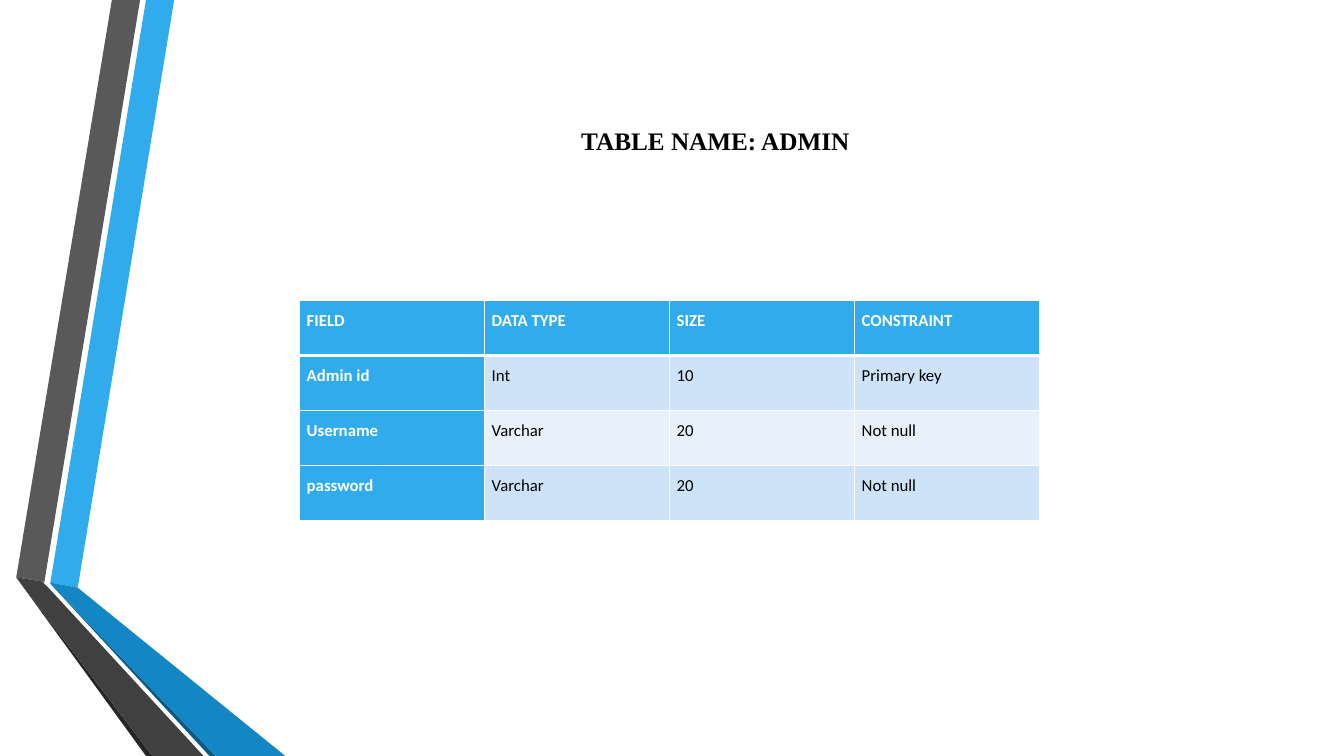
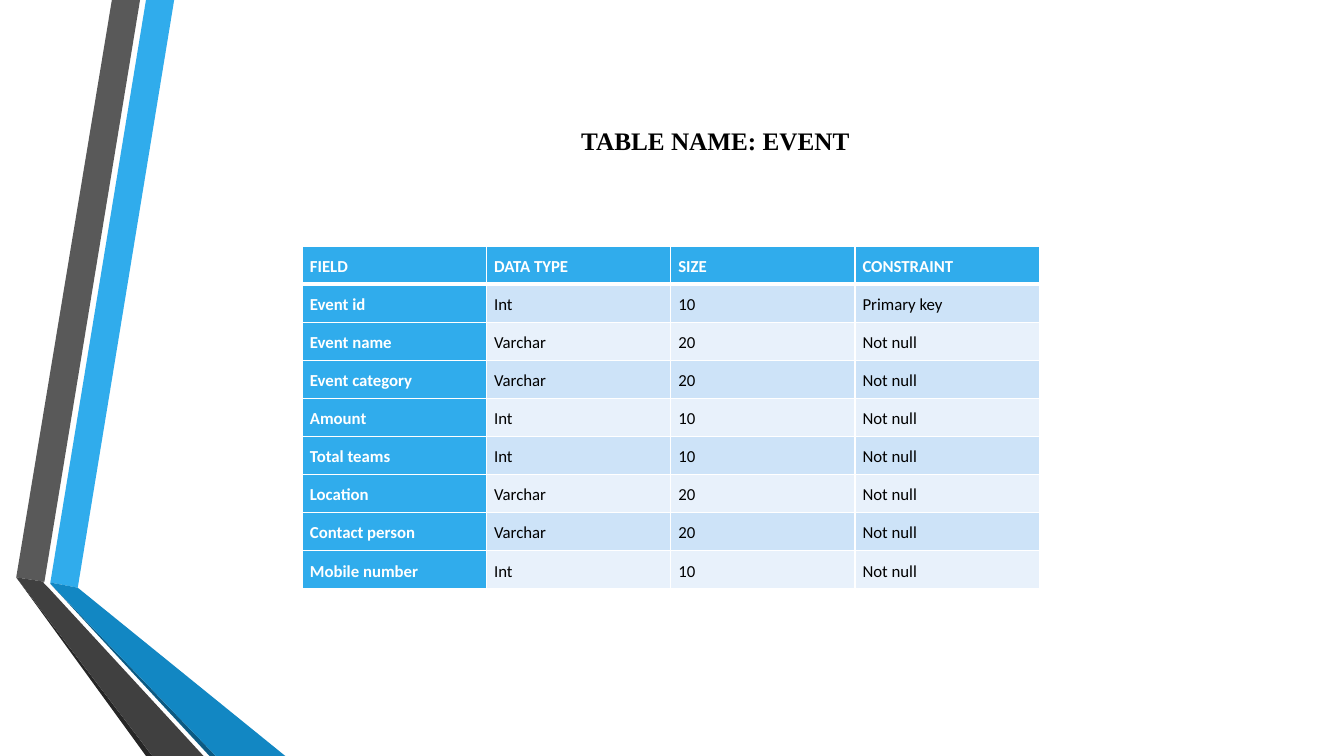
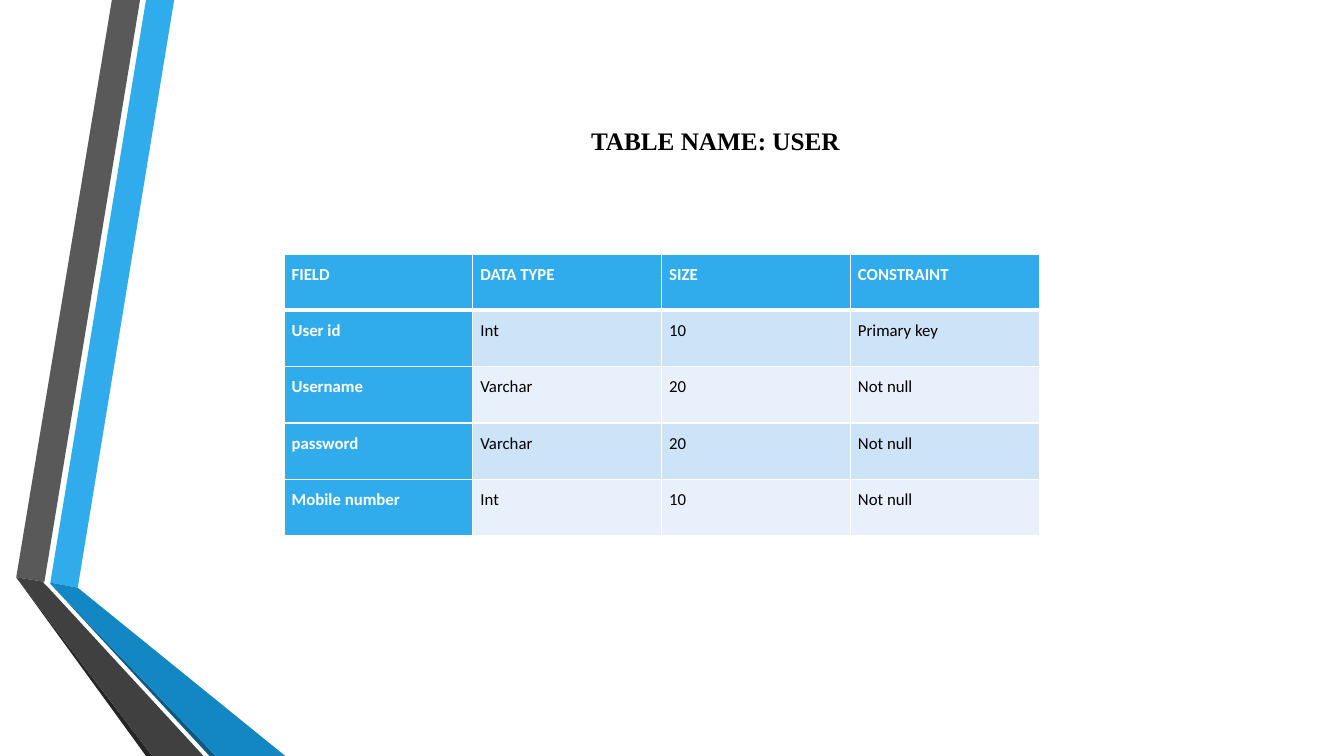
from pptx import Presentation
from pptx.dml.color import RGBColor
from pptx.enum.text import MSO_ANCHOR, PP_ALIGN
from pptx.oxml.ns import qn
from pptx.util import Cm, Pt
from lxml.etree import SubElement

# Colours
WHITE = RGBColor(0xFF, 0xFF, 0xFF)
BLACK = RGBColor(0x00, 0x00, 0x00)
BLUE = RGBColor(0x30, 0xAC, 0xEC)
DEEP = RGBColor(0x12, 0x87, 0xC3)
NAVY = RGBColor(0x0C, 0x5A, 0x82)
GRAY = RGBColor(0x59, 0x59, 0x59)
DARK = RGBColor(0x40, 0x40, 0x40)
COAL = RGBColor(0x26, 0x26, 0x26)
PALE = RGBColor(0xCD, 0xE3, 0xF8)
LIGHT = RGBColor(0xE8, 0xF1, 0xFB)

# Slide size, and the right edge that all tables share, in cm
WIDE, HIGH = 33.87, 19.05
RIGHT = 26.19

# Folded bands on the left, corner points in cm
BANDS = [
    (BLUE, [(1.27, 14.68), (1.96, 14.81), (4.39, 0), (3.68, 0)]),
    (GRAY, [(3.53, 0), (2.82, 0), (0.41, 14.55), (1.12, 14.66)]),
    (COAL, [(0.41, 14.55), (3.68, HIGH), (3.84, HIGH)]),
    (NAVY, [(1.27, 14.71), (5.28, HIGH), (5.44, HIGH)]),
    (DEEP, [(1.27, 14.71), (5.44, HIGH), (7.19, HIGH), (1.96, 14.81),
            (1.27, 14.68)]),
    (DARK, [(5.13, HIGH), (1.22, 14.81), (1.09, 14.68), (1.12, 14.66),
            (0.41, 14.55), (3.84, HIGH)]),
]

# Table contents
HEAD = ("FIELD", "DATA TYPE", "SIZE", "CONSTRAINT")
KEY, NEED = "Primary key", "Not null"
ADMIN = [
    ("Admin id", "Int", "10", KEY),
    ("Username", "Varchar", "20", NEED),
    ("password", "Varchar", "20", NEED),
]
EVENT = [
    ("Event id", "Int", "10", KEY),
    ("Event name", "Varchar", "20", NEED),
    ("Event category", "Varchar", "20", NEED),
    ("Amount", "Int", "10", NEED),
    ("Total teams", "Int", "10", NEED),
    ("Location", "Varchar", "20", NEED),
    ("Contact person", "Varchar", "20", NEED),
    ("Mobile number", "Int", "10", NEED),
]
USER = [
    ("User id", "Int", "10", KEY),
    ("Username", "Varchar", "20", NEED),
    ("password", "Varchar", "20", NEED),
    ("Mobile number", "Int", "10", NEED),
]


def put_text(frame, text, size=12, face="Calibri", color=BLACK, bold=False,
             align=PP_ALIGN.LEFT, space=1.0):
    para = frame.paragraphs[0]
    para.alignment = align
    para.line_spacing = space
    run = para.add_run()
    run.text = text
    font = run.font
    font.size, font.name, font.bold = Pt(size), face, bold
    font.color.rgb = color


def add_band(slide, color, points):
    first, *rest = [(Cm(x), Cm(y)) for x, y in points]
    pen = slide.shapes.build_freeform(*first)
    pen.add_line_segments(rest, close=True)
    band = pen.convert_to_shape()
    band.shadow.inherit = False
    band.fill.solid()
    band.fill.fore_color.rgb = color
    band.line.fill.background()


def add_title(slide, text):
    box = slide.shapes.add_textbox(Cm(4.11), Cm(1.9), Cm(27.84), Cm(4.88))
    frame = box.text_frame
    frame.word_wrap = True
    frame.vertical_anchor = MSO_ANCHOR.MIDDLE
    # The deep lower inset lifts the title above the middle of its box
    frame.margin_bottom = Cm(1.75)
    put_text(frame, text, size=18, face="Times New Roman", bold=True,
             align=PP_ALIGN.CENTER)


def add_edges(cell, top, bottom):
    props = cell._tc.get_or_add_tcPr()
    for tag, width in (("L", 1), ("R", 1), ("T", top), ("B", bottom)):
        edge = SubElement(props, qn("a:ln" + tag), w=str(Pt(width)))
        fill = SubElement(edge, qn("a:solidFill"))
        SubElement(fill, qn("a:srgbClr"), val=str(WHITE))


def fill_cell(cell, text, row, col):
    head = row == 0 or col == 0
    # A thick rule parts the header from the rows below
    add_edges(cell, top=3 if row == 1 else 1, bottom=3 if row == 0 else 1)
    cell.fill.solid()
    cell.fill.fore_color.rgb = BLUE if head else PALE if row % 2 else LIGHT
    cell.margin_left = cell.margin_right = Cm(0.19)
    cell.margin_top = cell.margin_bottom = 0
    put_text(cell.text_frame, text, color=WHITE if head else BLACK,
             bold=head, space=1.5)


def add_grid(slide, rows, left, top, step):
    rows = [HEAD] + rows
    frame = slide.shapes.add_table(
        len(rows), len(HEAD), Cm(left), Cm(top),
        Cm(RIGHT - left), Cm(step * len(rows)))
    table = frame.table
    table.horz_banding = False
    for r, row in enumerate(rows):
        table.rows[r].height = Cm(step)
        for c, text in enumerate(row):
            fill_cell(table.cell(r, c), text, r, c)


def add_page(deck, name, rows, left, top, step):
    slide = deck.slides.add_slide(deck.slide_layouts[6])
    for color, points in BANDS:
        add_band(slide, color, points)
    add_title(slide, "TABLE NAME: " + name)
    add_grid(slide, rows, left, top, step)


def main():
    deck = Presentation()
    deck.slide_width, deck.slide_height = Cm(WIDE), Cm(HIGH)
    add_page(deck, "ADMIN", ADMIN, left=7.54, top=7.57, step=1.39)
    add_page(deck, "EVENT", EVENT, left=7.62, top=6.2, step=0.96)
    add_page(deck, "USER", USER, left=7.16, top=6.4, step=1.42)
    deck.save("out.pptx")


if __name__ == "__main__":
    main()
